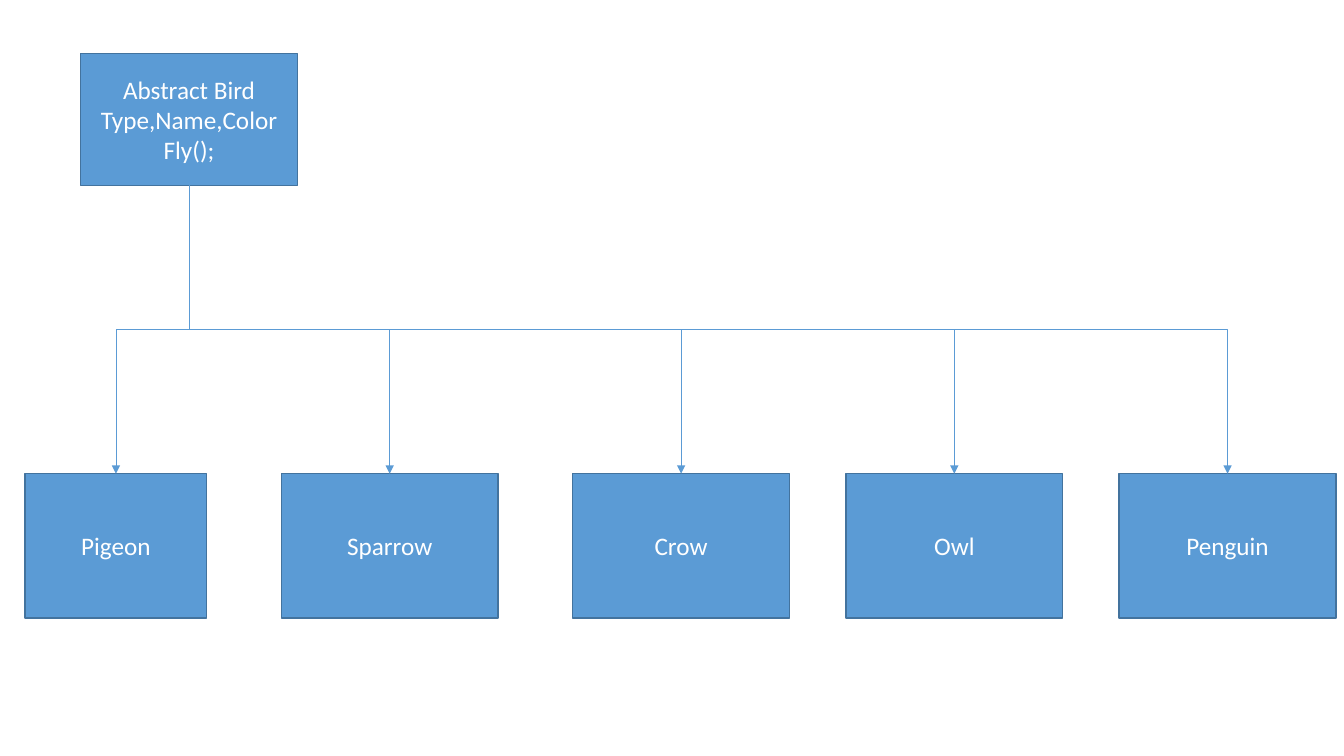
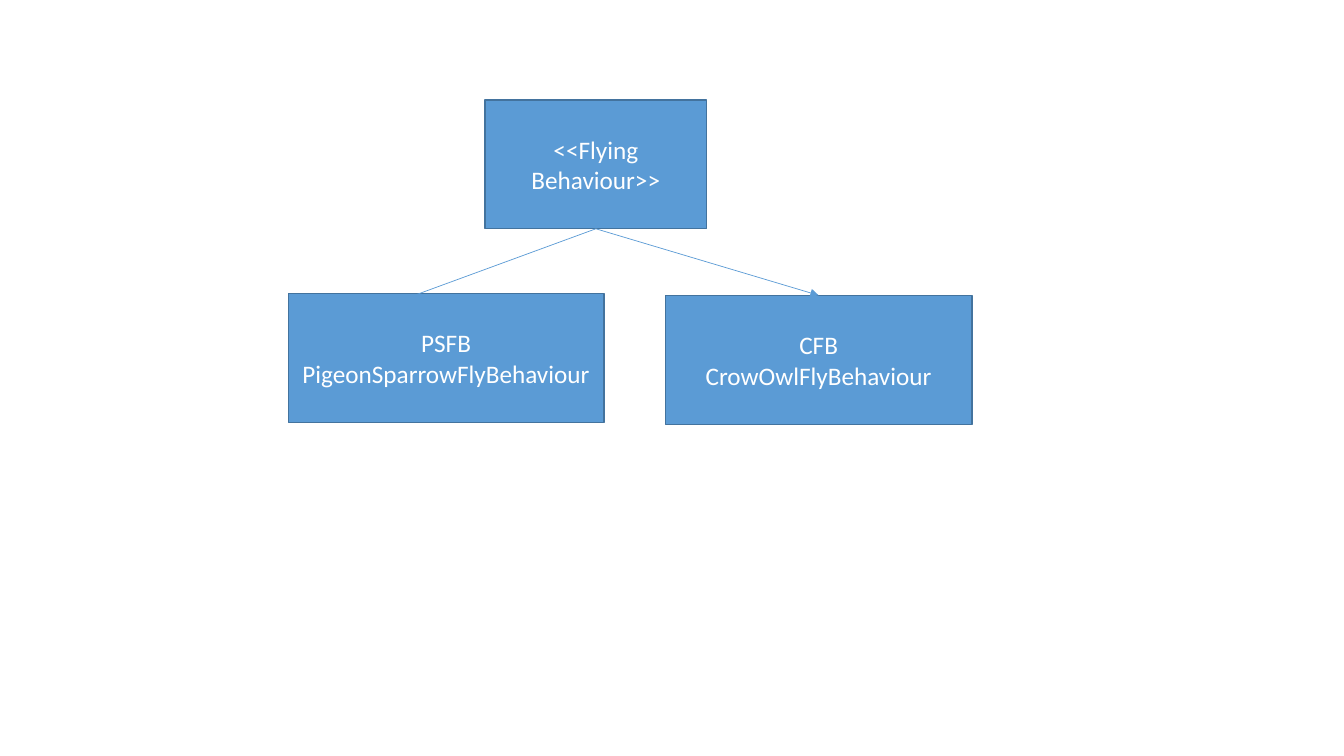
from dataclasses import dataclass

import pptx
import pptx.dml.color
import pptx.enum.shapes
import pptx.enum.text
import pptx.oxml
import pptx.oxml.ns
import pptx.util
from pptx.util import Inches

BOTTOM_SITE, TOP_SITE = 2, 0
QUARTER_TURN = 5400000


@dataclass(frozen=True)
class Theme:
    fill: str = "5B9BD5"
    outline: str = "43739E"
    text: str = "FFFFFF"
    font: str = "Calibri"
    text_size: float = 18
    outline_width: float = 1
    arrow_width: float = 0.5


def rgb(value):
    return pptx.dml.color.RGBColor.from_string(value)


class Diagram:
    def __init__(self, deck, theme):
        self.deck = deck
        self.theme = theme
        self.slide = None

    def new_slide(self):
        self.slide = self.deck.slides.add_slide(self.deck.slide_layouts[6])

    def class_box(self, text, left, top, width, height):
        box = self.slide.shapes.add_shape(
            pptx.enum.shapes.MSO_SHAPE.RECTANGLE,
            Inches(left), Inches(top), Inches(width), Inches(height))
        box.shadow.inherit = False
        box.fill.solid()
        box.fill.fore_color.rgb = rgb(self.theme.fill)
        box.line.color.rgb = rgb(self.theme.outline)
        box.line.width = pptx.util.Pt(self.theme.outline_width)
        frame = box.text_frame
        frame.word_wrap = True
        frame.vertical_anchor = pptx.enum.text.MSO_ANCHOR.MIDDLE
        frame.text = text
        for para in frame.paragraphs:
            para.alignment = pptx.enum.text.PP_ALIGN.CENTER
            for span in para.runs:
                span.font.name = self.theme.font
                span.font.size = pptx.util.Pt(self.theme.text_size)
                span.font.color.rgb = rgb(self.theme.text)
        return box

    def arrow(self, kind, parent, end_x, end_y):
        """Draw an arrow from the bottom centre of parent to a point."""
        line = self.slide.shapes.add_connector(
            kind, parent.left + parent.width // 2, parent.top + parent.height,
            end_x, end_y)
        line.begin_connect(parent, BOTTOM_SITE)
        line.line.color.rgb = rgb(self.theme.fill)
        line.line.width = pptx.util.Pt(self.theme.arrow_width)
        outline = line.line._get_or_add_ln()
        pptx.oxml.ns  # namespace helpers used below
        head = pptx.oxml.parse_xml(
            '<a:tailEnd xmlns:a="http://schemas.openxmlformats.org/'
            'drawingml/2006/main" type="triangle"/>')
        outline.append(head)
        line.element.spPr.append(pptx.oxml.parse_xml(
            '<a:effectLst xmlns:a="http://schemas.openxmlformats.org/'
            'drawingml/2006/main"/>'))
        return line

    def straight_arrow(self, parent, end_x, end_y):
        return self.arrow(pptx.enum.shapes.MSO_CONNECTOR.STRAIGHT,
                          parent, end_x, end_y)

    def elbow_arrow(self, parent, child):
        """Turn an elbow so that it leaves downwards and enters from above."""
        start_x = parent.left + parent.width // 2
        start_y = parent.top + parent.height
        end_x = child.left + child.width // 2
        line = self.arrow(pptx.enum.shapes.MSO_CONNECTOR.ELBOW,
                          parent, end_x, child.top)
        line.end_connect(child, TOP_SITE)
        drop, shift = child.top - start_y, abs(end_x - start_x)
        line.left = (start_x + end_x - drop) // 2
        line.top = (start_y + child.top - shift) // 2
        line.width, line.height = drop, shift
        to_right = end_x > start_x
        frame = line.element.spPr.find(pptx.oxml.ns.qn("a:xfrm"))
        frame.set("rot", str(QUARTER_TURN * (3 if to_right else 1)))
        frame.set("flipH", "1" if to_right else "0")


def bird_hierarchy(diagram):
    diagram.new_slide()
    bird = diagram.class_box("Abstract Bird\vType,Name,Color\vFly();",
                             0.8, 0.53, 2.15, 1.31)
    species = [("Pigeon", 0.25, 1.8), ("Sparrow", 2.79, 2.15),
               ("Crow", 5.68, 2.15), ("Owl", 8.39, 2.15),
               ("Penguin", 11.1, 2.15)]
    boxes = [diagram.class_box(name, left, 4.7, width, 1.43)
             for name, left, width in species]
    for box in boxes:
        diagram.elbow_arrow(bird, box)


def flying_behaviours(diagram):
    diagram.new_slide()
    behaviour = diagram.class_box("<<Flying Behaviour>>", 4.81, 0.99, 2.2, 1.28)
    crow_owl = diagram.class_box("CFB\vCrowOwlFlyBehaviour",
                                 6.6, 2.93, 3.04, 1.28)
    diagram.class_box("PSFB\vPigeonSparrowFlyBehaviour",
                      2.86, 2.91, 3.13, 1.28)
    diagram.straight_arrow(behaviour, Inches(3.81), Inches(3.04))
    diagram.straight_arrow(behaviour, crow_owl.left + crow_owl.width // 2,
                           crow_owl.top).end_connect(crow_owl, TOP_SITE)


def main():
    deck = pptx.Presentation()
    deck.slide_width, deck.slide_height = Inches(13.33), Inches(7.5)
    diagram = Diagram(deck, Theme())
    bird_hierarchy(diagram)
    flying_behaviours(diagram)
    deck.save("out.pptx")


if __name__ == "__main__":
    main()
